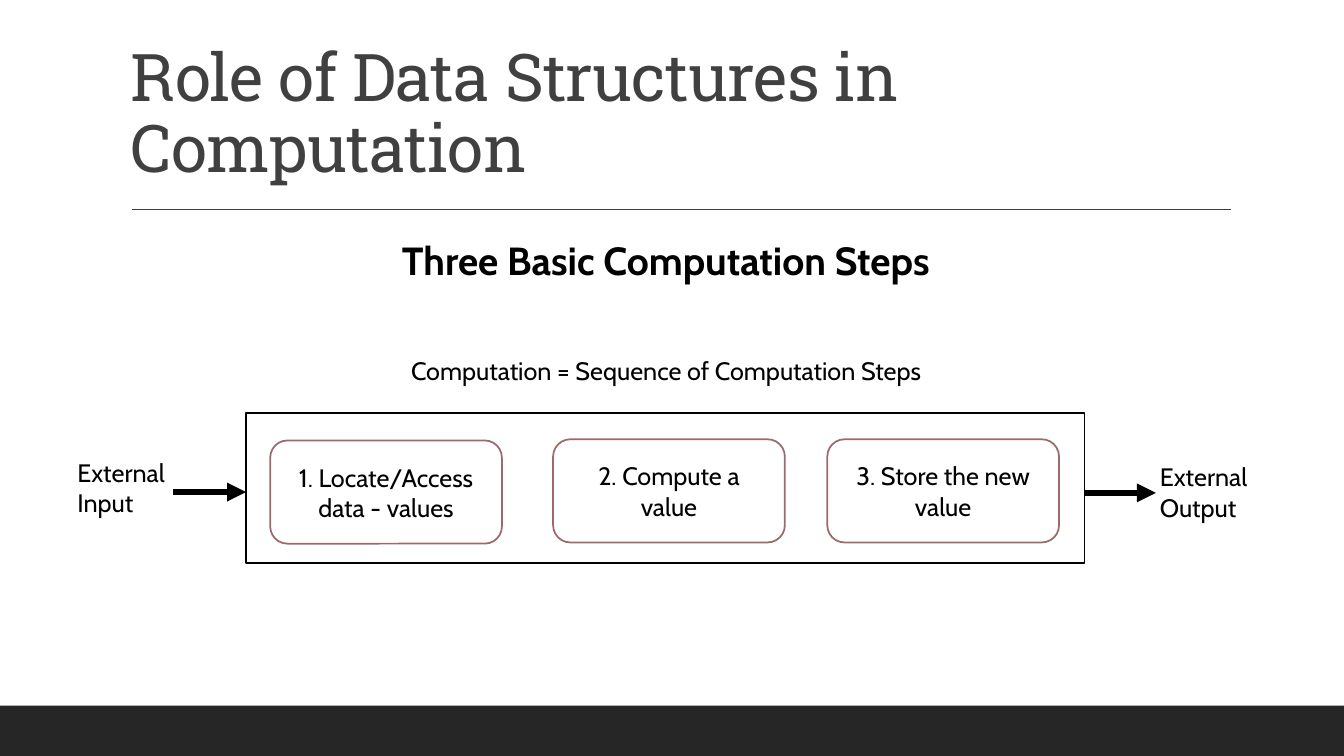
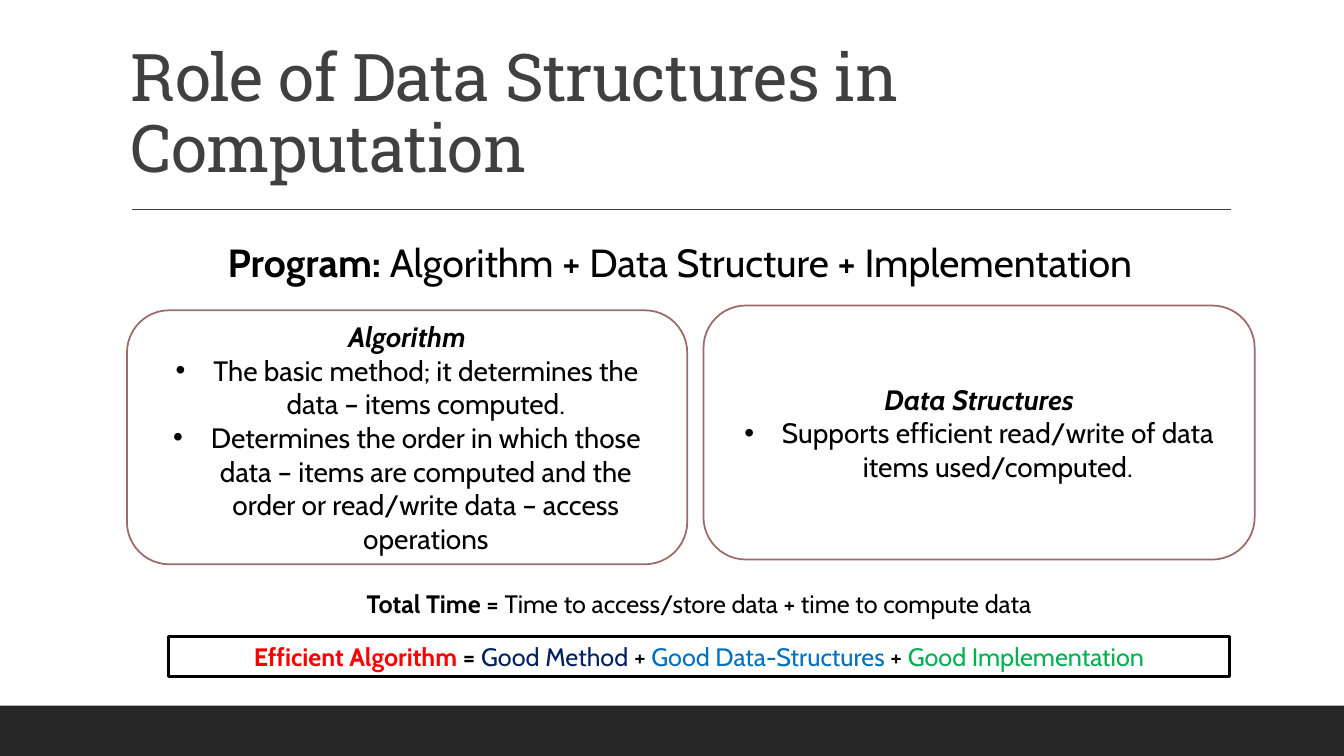
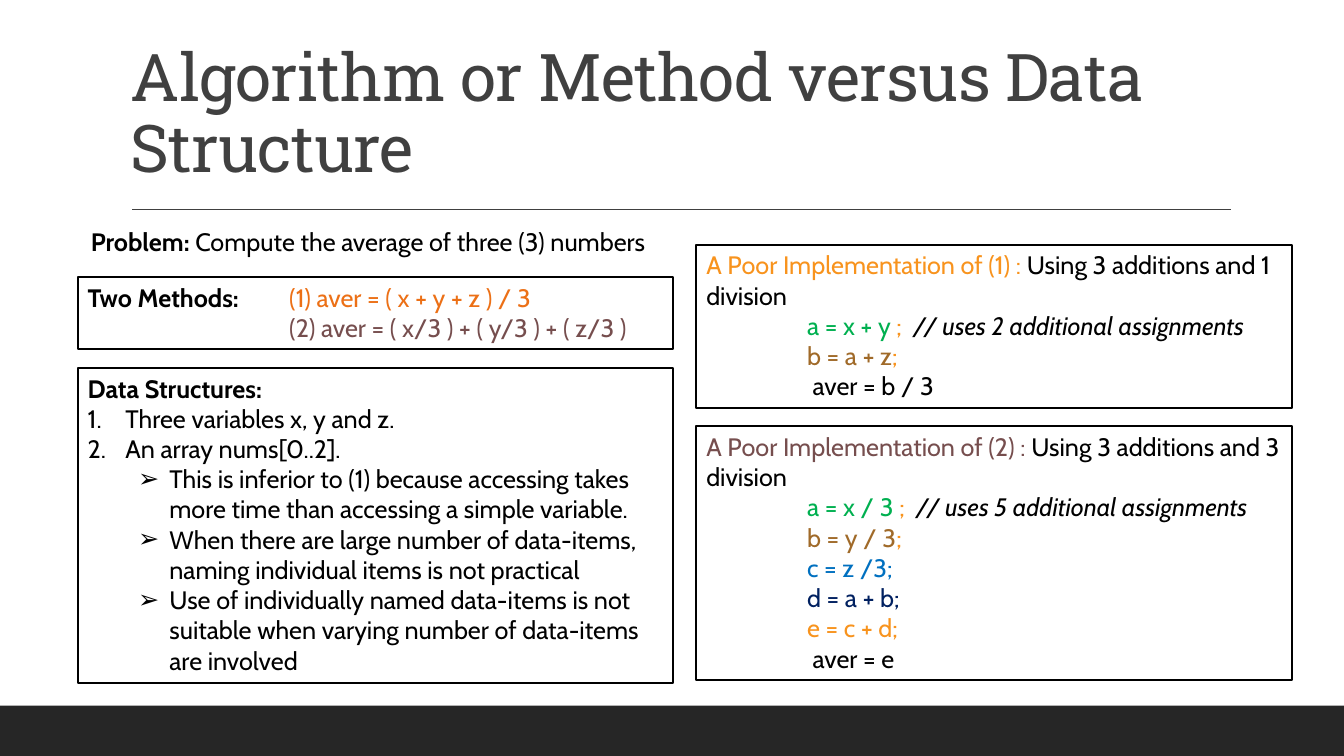
"""Build three slides on the role of data structures in computation."""
from lxml.etree import SubElement
from pptx import Presentation
from pptx.dml.color import RGBColor
from pptx.enum.shapes import MSO_CONNECTOR, MSO_SHAPE
from pptx.enum.text import MSO_ANCHOR, PP_ALIGN
from pptx.oxml.ns import qn
from pptx.util import Cm, Pt

BODY, HEAD = "Cabin", "Roboto Slab"
BLACK, WHITE, GREY, DARK = "000000", "FFFFFF", "404040", "262626"
ROSE, PLUM, AMBER, ORANGE = "9C6A6A", "764E4E", "F8931D", "EC7016"
RED, NAVY, BLUE, GREEN, BROWN = "FF0000", "002060", "0070C0", "00B050", "A06A29"
LEFT, MID = PP_ALIGN.LEFT, PP_ALIGN.CENTER
RECT, ROUND = MSO_SHAPE.RECTANGLE, MSO_SHAPE.ROUNDED_RECTANGLE

INDENTS = {"dot": (0.95, -0.95), "num": (0.95, -0.95),
           "arrow": (2.06, -0.79), "code": (2.54, 0)}
SIGNS = {"dot": "•", "arrow": "➢"}
TAB = 5.08


def hue(code):
    return RGBColor.from_string(code)


def mark(para, kind):
    props = para._p.get_or_add_pPr()
    if kind in INDENTS:
        margin, first = INDENTS[kind]
        props.set("marL", str(Cm(margin)))
        props.set("indent", str(Cm(first)))
    if kind in SIGNS:
        SubElement(props, qn("a:buFont"), typeface="Arial")
        SubElement(props, qn("a:buChar"), char=SIGNS[kind])
    elif kind == "num":
        SubElement(props, qn("a:buAutoNum"), type="arabicPeriod")
    elif kind == "tab":
        stops = SubElement(props, qn("a:tabLst"))
        SubElement(stops, qn("a:tab"), pos=str(Cm(TAB)), algn="l")


def write(shape, paras, size=18, align=LEFT, anchor=MSO_ANCHOR.TOP,
          face=BODY, tint=BLACK):
    """Fill a shape with (kind, run, run, ...) paragraphs; a run is (text, colour, style)."""
    frame = shape.text_frame
    frame.word_wrap = True
    frame.vertical_anchor = anchor
    for spot, (kind, *runs) in enumerate(paras):
        para = frame.add_paragraph() if spot else frame.paragraphs[0]
        para.alignment = align
        mark(para, kind)
        font = para.font
        font.name, font.size, font.color.rgb = face, Pt(size), hue(tint)
        for text, shade, style in runs:
            run = para.add_run()
            run.text = text
            if shade != tint:
                run.font.color.rgb = hue(shade)
            if "b" in style:
                run.font.bold = True
            if "i" in style:
                run.font.italic = True


def bit(text, shade=BLACK, style=""):
    return text, shade, style


def place(box):
    return [Cm(side) for side in box]


def label(slide, box, *paras, **look):
    text = slide.shapes.add_textbox(*place(box))
    write(text, paras, **look)
    return text


def panel(slide, box, *paras, form=RECT, fill=WHITE, line=BLACK, width=1.25, **look):
    shape = slide.shapes.add_shape(form, *place(box))
    shape.shadow.inherit = False
    if fill:
        shape.fill.solid()
        shape.fill.fore_color.rgb = hue(fill)
    else:
        shape.fill.background()
    if line:
        shape.line.color.rgb = hue(line)
        shape.line.width = Pt(width)
    else:
        shape.line.fill.background()
    write(shape, paras, **look)


def card(slide, box, *paras, size=18):
    panel(slide, box, *paras, form=ROUND, line=ROSE, size=size,
          align=MID, anchor=MSO_ANCHOR.MIDDLE)


def rule(slide, start, end, level, shade, width, arrow=False):
    line = slide.shapes.add_connector(
        MSO_CONNECTOR.STRAIGHT, *place((start, level, end, level)))
    line.line.color.rgb = hue(shade)
    line.line.width = Pt(width)
    if arrow:
        SubElement(line.line._get_or_add_ln(), qn("a:tailEnd"), type="triangle")
    SubElement(line._element.spPr, qn("a:effectLst"))


def base(deck, title):
    """Add a slide with the shared band, rule and title."""
    slide = deck.slides.add_slide(deck.slide_layouts[6])
    panel(slide, (0, 17.78, 33.87, 1.27), fill=DARK, line=None)
    rule(slide, 3.33, 31.01, 5.28, GREY, 1)
    text = label(slide, (3.05, 0.79, 27.94, 4.04), ("", bit(title, GREY)),
                 size=47, anchor=MSO_ANCHOR.BOTTOM, face=HEAD, tint=GREY)
    para = text.text_frame.paragraphs[0]
    para.line_spacing = 0.9
    para.runs[0]._r.get_or_add_rPr().set("spc", "-50")
    return slide


def steps(deck):
    slide = base(deck, "Role of Data Structures in Computation")
    for left, top, text in ((6.81, 11.1, "1. Locate/Access data - values"),
                            (13.94, 11.07, "2. Compute a value"),
                            (20.85, 11.07, "3. Store the new value")):
        card(slide, (left, top, 5.84, 2.6), ("", bit(text)))
    panel(slide, (6.2, 10.41, 21.13, 3.78), fill=None)
    for left, top, text in ((1.7, 11.4, "External Input"),
                            (28.98, 11.51, "External Output")):
        label(slide, (left, top, 2.79, 1.8), ("", bit(text)))
    rule(slide, 4.37, 6.2, 12.4, BLACK, 4.5, arrow=True)
    rule(slide, 27.33, 29.13, 12.42, BLACK, 4.5, arrow=True)
    label(slide, (10.11, 8.84, 13.56, 1.02),
          ("", bit("Computation = Sequence of Computation Steps")))
    label(slide, (9.88, 5.84, 14.1, 1.45),
          ("", bit("Three Basic Computation Steps", style="b")), size=28)


def program(deck):
    slide = base(deck, "Role of Data Structures in Computation")
    label(slide, (5.49, 5.89, 23.83, 1.45),
          ("", bit("Program: ", style="b"),
           bit("Algorithm + Data Structure + Implementation")), size=28)
    card(slide, (3.2, 7.82, 14.12, 6.4),
         ("", bit("Algorithm", style="bi")),
         ("dot", bit("The basic method; it determines the data – items computed.")),
         ("dot", bit("Determines the order in which those data – items are computed "
                     "and the order or read/write data – access operations")),
         size=20)
    card(slide, (17.73, 7.7, 13.89, 6.4),
         ("", bit("Data Structures", style="bi")),
         ("dot", bit("Supports efficient read/write of data items used/computed.")),
         size=20)
    label(slide, (4.24, 14.71, 26.75, 1.02),
          ("", bit("Total Time = ", style="b"),
           bit("Time to access/store data + time to compute data")), align=MID)
    panel(slide, (4.24, 16.03, 26.75, 1.02),
          ("", bit("Efficient Algorithm ", RED, "b"), bit("= ", style="b"),
           bit("Good Method ", NAVY), bit("+ "),
           bit("Good Data-Structures ", BLUE), bit("+ "),
           bit("Good Implementation", GREEN)),
          fill=None, width=2.25, align=MID)


def listing(slide, top, height, head, tint, count, extra, first, second, rest):
    """Draw a boxed code listing with its heading."""
    panel(slide, (17.55, top, 15.01, height),
          ("", bit(head, tint), bit(f"Using 3 additions and {count} division")),
          ("code", bit(first, GREEN), bit(" ;  ", AMBER),
           bit(f"// uses {extra} additional assignments", style="i")),
          ("code", bit(second, BROWN), bit(";", AMBER)),
          *(("code", bit(text, shade)) for text, shade in rest))


def versus(deck):
    slide = base(deck, "Algorithm or Method versus Data Structure")
    label(slide, (1.96, 5.59, 14.63, 1.02),
          ("", bit("Problem: ", style="b"),
           bit("Compute the average of three (3) numbers")), align=MID)
    panel(slide, (1.96, 6.99, 15.01, 1.8),
          ("tab", bit("Two Methods:\t", style="b"),
           bit("(1) aver = ( x + y + z ) / 3", ORANGE)),
          ("tab", bit("\t(2) aver = ( x/3 ) + ( y/3 ) + ( z/3 )", PLUM)))
    panel(slide, (1.96, 9.27, 15.01, 7.95),
          ("", bit("Data Structures:", style="b")),
          ("num", bit("Three variables x, y and z.")),
          ("num", bit("An array nums[0..2].")),
          ("arrow", bit("This is inferior to (1) because accessing takes more time "
                        "than accessing a simple variable.")),
          ("arrow", bit("When there are large number of data-items, "
                        "naming individual items is not practical")),
          ("arrow", bit("Use of individually named data-items is not suitable when "
                        "varying number of data-items are involved")))
    listing(slide, 6.17, 4.11, "A Poor Implementation of (1) : ", AMBER, 1, 2,
            "a = x + y", "b = a + z", [(" aver = b / 3", BLACK)])
    listing(slide, 10.74, 6.4, "A Poor Implementation of (2) : ", PLUM, 3, 5,
            "a = x / 3", "b = y / 3",
            [("c = z /3;", BLUE), ("d = a + b;", NAVY),
             ("e = c + d;", AMBER), (" aver = e", BLACK)])


def main():
    deck = Presentation()
    deck.slide_width, deck.slide_height = Cm(33.87), Cm(19.05)
    steps(deck)
    program(deck)
    versus(deck)
    deck.save("out.pptx")


if __name__ == "__main__":
    main()
